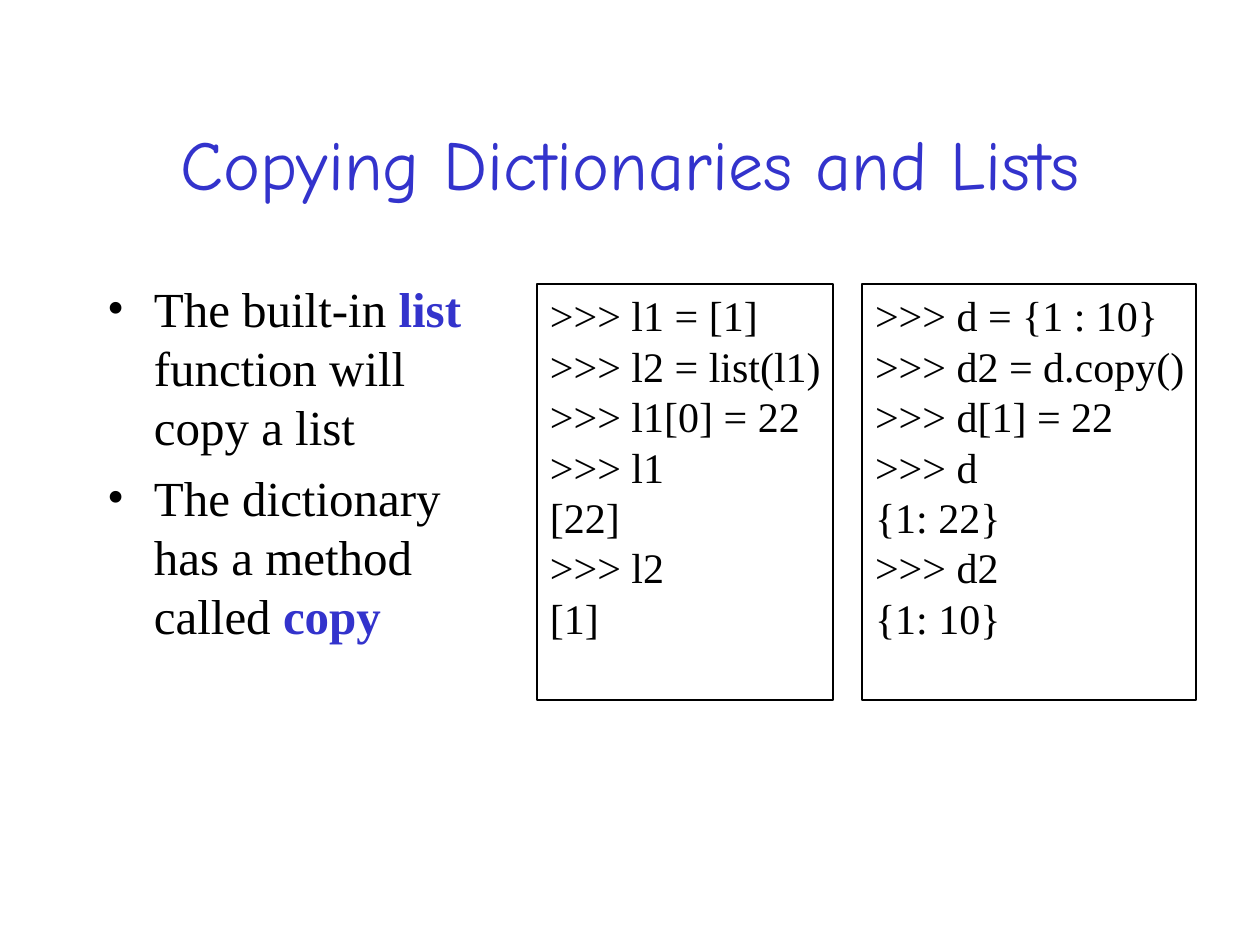
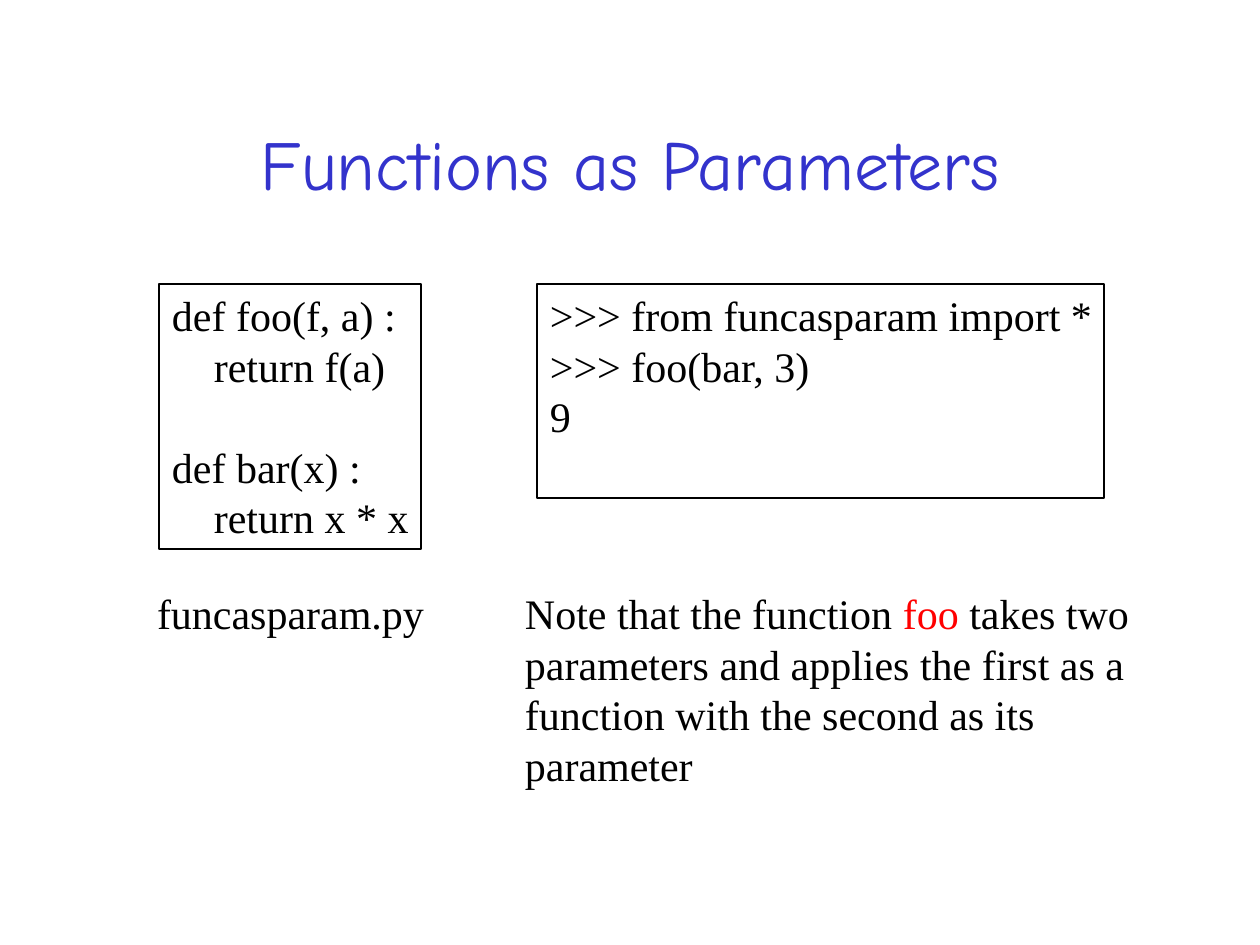
"""Build two slides on copying collections and on functions as parameters."""

from lxml.etree import SubElement
from pptx import Presentation
from pptx.dml.color import RGBColor
from pptx.enum.shapes import MSO_SHAPE
from pptx.enum.text import MSO_ANCHOR, MSO_AUTO_SIZE, PP_ALIGN
from pptx.oxml.ns import qn
from pptx.util import Emu, Pt

COLORS = {"accent": "3333CC", "ink": "000000", "alert": "FF0000"}
TITLE_FONT, TEXT_FONT = "Comic Neue", "Times New Roman"
TITLE_SIZE, BULLET_SIZE, CODE_SIZE = 40, 28, 24
BLANK_LINE = 28.8

EMU_PER_PX = 914400 / 126
SLIDE_SIZE = (1260, 945)
TITLE_AREA = (94, 84, 1072, 158)
BODY_AREA = (94, 273, 431, 408)
INSET_X, INSET_Y, BULLET_INDENT = 13, 6, 47
CODE_TOP, NOTE_TOP = 284, 582

SLIDES = [
    {
        "title": "Copying Dictionaries and Lists",
        "bullets": [
            [("The built-in ", "ink"), ("list", "accent"),
             (" function will copy a list", "ink")],
            [("The dictionary has a method called ", "ink"), ("copy", "accent")],
        ],
        "code": [
            {"left": 537, "width": 296, "height": 416, "lines": [
                ">>> l1 = [1]", ">>> l2 = list(l1)", ">>> l1[0] = 22",
                ">>> l1", "[22]", ">>> l2", "[1]"]},
            {"left": 862, "width": 334, "height": 416, "lines": [
                ">>> d = {1 : 10}", ">>> d2 = d.copy()", ">>> d[1] = 22",
                ">>> d", "{1: 22}", ">>> d2", "{1: 10}"]},
        ],
        "notes": [],
    },
    {
        "title": "Functions as Parameters",
        "bullets": [],
        "code": [
            {"left": 159, "width": 262, "height": 265, "lines": [
                "def foo(f, a) :", "    return f(a)", "",
                "def bar(x) :", "    return x * x"]},
            {"left": 537, "width": 567, "height": 214, "lines": [
                ">>> from funcasparam import *", ">>> foo(bar, 3)", "9"]},
        ],
        "notes": [
            {"left": 512, "width": 703, "height": 214, "runs": [
                ("Note that the function ", "ink"), ("foo", "alert"),
                (" takes two parameters and applies the first as a function"
                 " with the second as its parameter", "ink")]},
            {"left": 144, "width": 297, "height": 63,
             "runs": [("funcasparam.py", "ink")]},
        ],
    },
]


def px(length):
    """Turn pixels into EMU."""
    return Emu(round(length * EMU_PER_PX))


def place(shape, area):
    """Move a shape to a pixel area."""
    shape.left, shape.top, shape.width, shape.height = map(px, area)


def prepare_frame(shape, anchor=MSO_ANCHOR.TOP, right_inset=INSET_X):
    """Set the wrapping, anchor and insets of a shape's text frame."""
    frame = shape.text_frame
    frame.auto_size = MSO_AUTO_SIZE.NONE
    frame.word_wrap = True
    frame.vertical_anchor = anchor
    frame.margin_left, frame.margin_right = px(INSET_X), px(right_inset)
    frame.margin_top = frame.margin_bottom = px(INSET_Y)
    return frame


def next_paragraph(frame, index):
    """Return the first paragraph of a frame or a new one."""
    return frame.add_paragraph() if index else frame.paragraphs[0]


def add_runs(paragraph, runs, size, font_name=TEXT_FONT, bold_color=None):
    """Add coloured runs, making those in one colour bold."""
    for text, color in runs:
        run = paragraph.add_run()
        run.text = text
        run.font.name = font_name
        run.font.size = Pt(size)
        run.font.bold = color == bold_color
        run.font.color.rgb = RGBColor.from_string(COLORS[color])


def add_bullet(paragraph):
    """Give a paragraph a hanging round bullet."""
    properties = paragraph._p.get_or_add_pPr()
    properties.set("marL", str(px(BULLET_INDENT)))
    properties.set("indent", str(-px(BULLET_INDENT)))
    bullet_color = SubElement(properties, qn("a:buClr"))
    SubElement(bullet_color, qn("a:srgbClr"), val=COLORS["ink"])
    SubElement(properties, qn("a:buFont"), typeface=TEXT_FONT)
    SubElement(properties, qn("a:buChar"), char="•")


def fill_title(slide, title):
    """Format and fill the title placeholder."""
    shape = slide.shapes.title
    place(shape, TITLE_AREA)
    paragraph = prepare_frame(shape, MSO_ANCHOR.MIDDLE).paragraphs[0]
    paragraph.alignment = PP_ALIGN.CENTER
    add_runs(paragraph, [(title, "accent")], TITLE_SIZE, TITLE_FONT)


def fill_bullets(slide, bullets):
    """Format and fill the body placeholder."""
    body = slide.placeholders[1]
    place(body, BODY_AREA)
    frame = prepare_frame(body)
    for index, runs in enumerate(bullets):
        paragraph = next_paragraph(frame, index)
        paragraph.space_before = Pt(7 if index else 0)
        add_bullet(paragraph)
        add_runs(paragraph, runs, BULLET_SIZE, bold_color="accent")


def add_code(slide, left, width, height, lines):
    """Add an outlined box of code lines."""
    box = slide.shapes.add_shape(
        MSO_SHAPE.RECTANGLE, *map(px, (left, CODE_TOP, width, height)))
    box.shadow.inherit = False
    box.fill.background()
    box.line.color.rgb = RGBColor.from_string(COLORS["ink"])
    box.line.width = Pt(0.75)
    frame = prepare_frame(box, right_inset=0)
    gap = 0
    for index, line in enumerate(lines):
        if not line:
            gap = BLANK_LINE
            continue
        paragraph = next_paragraph(frame, index)
        paragraph.alignment = PP_ALIGN.LEFT
        paragraph.space_before = Pt(gap)
        add_runs(paragraph, [(line, "ink")], CODE_SIZE)
        gap = 0


def add_note(slide, left, width, height, runs):
    """Add a plain text note below the code."""
    box = slide.shapes.add_textbox(*map(px, (left, NOTE_TOP, width, height)))
    add_runs(prepare_frame(box).paragraphs[0], runs, CODE_SIZE)


def main():
    """Build and save the presentation."""
    presentation = Presentation()
    presentation.slide_width, presentation.slide_height = map(px, SLIDE_SIZE)
    for content in SLIDES:
        layout = presentation.slide_layouts[1 if content["bullets"] else 5]
        slide = presentation.slides.add_slide(layout)
        fill_title(slide, content["title"])
        if content["bullets"]:
            fill_bullets(slide, content["bullets"])
        for code in content["code"]:
            add_code(slide, **code)
        for note in content["notes"]:
            add_note(slide, **note)
    presentation.save("out.pptx")


if __name__ == "__main__":
    main()
